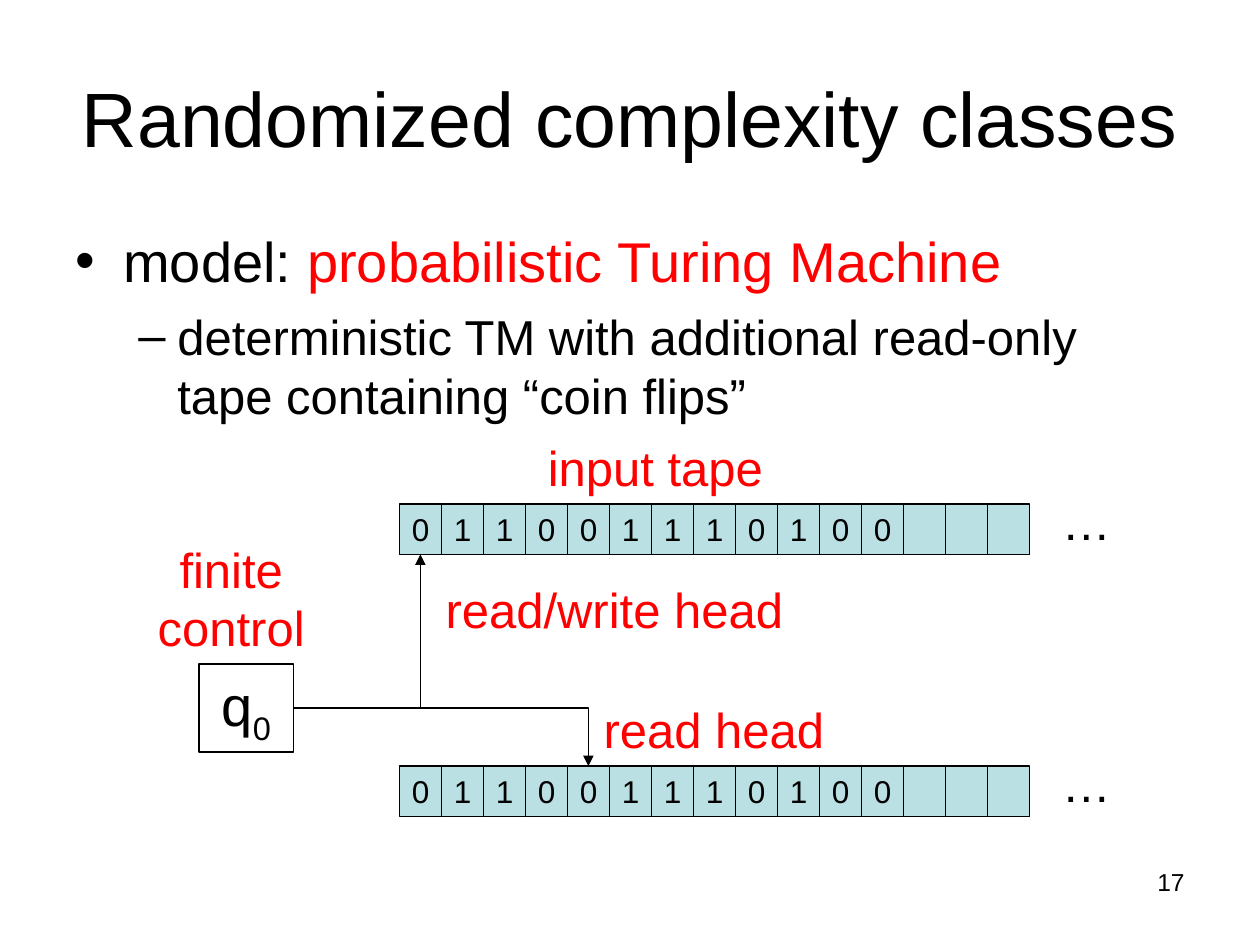
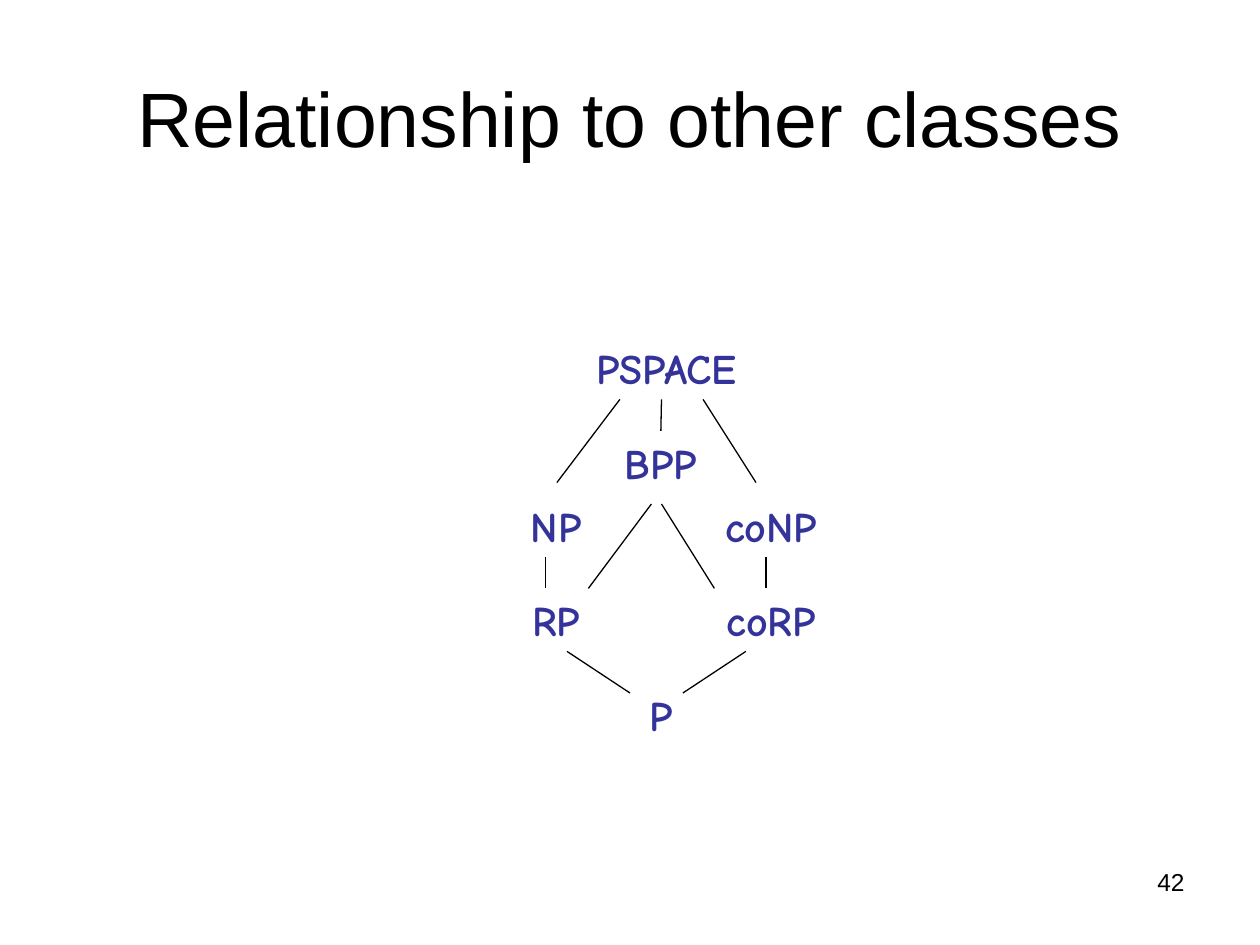
from pptx import Presentation
from pptx.dml.color import RGBColor
from pptx.enum.shapes import MSO_CONNECTOR, MSO_SHAPE
from pptx.enum.text import MSO_ANCHOR, PP_ALIGN
from pptx.oxml.ns import qn
from pptx.util import Inches, Pt
from lxml.etree import SubElement

BLACK, RED, NAVY, TEAL = "000000", "FF0000", "333399", "BBE0E3"
BODY = {"name": "Arial", "size": Pt(32)}
LABEL = {"name": "Arial", "size": Pt(28)}
CELL = {"name": "Arial", "size": Pt(18)}
TITLE = {"name": "Arial", "size": Pt(44)}
NUMBER = {"name": "Arial", "size": Pt(14)}
NODE = {"name": "Comic Neue", "size": Pt(24), "bold": True}
LEFT, CENTER, RIGHT = PP_ALIGN.LEFT, PP_ALIGN.CENTER, PP_ALIGN.RIGHT
CELL_W, CELL_H = 1 / 3, 0.4


def rgb(value):
    """Turn a hex string into a colour."""
    return RGBColor.from_string(value)


def add_run(p, text, fmt, color=BLACK):
    """Append a formatted run to a paragraph."""
    r = p.add_run()
    r.text = text
    for name, value in fmt.items():
        setattr(r.font, name, value)
    r.font.color.rgb = rgb(color)
    return r


def add_text(s, box, text, fmt, color=BLACK, align=LEFT, anchor=MSO_ANCHOR.TOP):
    """Add a wrapping text box holding one paragraph."""
    sp = s.shapes.add_textbox(*map(Inches, box))
    tf = sp.text_frame
    tf.word_wrap = True
    tf.vertical_anchor = anchor
    p = tf.paragraphs[0]
    p.alignment = align
    if text:
        add_run(p, text, fmt, color)
    return sp


def add_box(s, box, text, fmt, fill=None):
    """Add an outlined rectangle with centred text."""
    sp = s.shapes.add_shape(MSO_SHAPE.RECTANGLE, *map(Inches, box))
    sp.shadow.inherit = False
    if fill:
        sp.fill.solid()
        sp.fill.fore_color.rgb = rgb(fill)
    else:
        sp.fill.background()
    sp.line.color.rgb = rgb(BLACK)
    sp.line.width = Pt(0.75)
    sp.text_frame.vertical_anchor = MSO_ANCHOR.TOP
    p = sp.text_frame.paragraphs[0]
    p.alignment = CENTER
    if text:
        add_run(p, text, fmt)
    return sp


def add_line(s, ends, kind=MSO_CONNECTOR.STRAIGHT):
    """Add a thin black connector without a shadow."""
    c = s.shapes.add_connector(kind, *map(Inches, ends))
    c.line.color.rgb = rgb(BLACK)
    c.line.width = Pt(0.75)
    SubElement(c._element.spPr, qn("a:effectLst"))
    return c


def add_head(s, control, cell, side):
    """Join the control box to a tape cell with a one-bend arrow."""
    c = add_line(s, (0, 0, 1, 1), MSO_CONNECTOR.ELBOW)
    c.begin_connect(control, 3)
    c.end_connect(cell, side)
    c._element.spPr.find(qn("a:prstGeom")).set("prst", "bentConnector2")
    SubElement(c.line._get_or_add_ln(), qn("a:tailEnd"), type="triangle")


def add_bullet(tf, mark, level, margin, indent, before, runs, fmt):
    """Fill the next bulleted paragraph of a text frame."""
    p = tf.add_paragraph() if tf.text else tf.paragraphs[0]
    p.level = level
    if before:
        p.space_before = Pt(before)
    pPr = p._p.get_or_add_pPr()
    pPr.set("marL", str(Inches(margin)))
    pPr.set("indent", str(Inches(indent)))
    SubElement(pPr, qn("a:buFont"), typeface="Arial")
    SubElement(pPr, qn("a:buChar"), char=mark)
    for text, color in runs:
        add_run(p, text, fmt, color)


def new_slide(prs, title, number):
    """Add a blank slide with its title and page number."""
    s = prs.slides.add_slide(prs.slide_layouts[6])
    add_text(s, (7.17, 6.83, 2.33, 0.52), number, NUMBER, align=RIGHT)
    add_text(s, (0.5, 0.3, 9, 1.25), title, TITLE, align=CENTER, anchor=MSO_ANCHOR.MIDDLE)
    return s


def add_tape(s, left, top, symbols, blanks=3):
    """Draw a tape of cells trailed by an ellipsis and return the cells."""
    cells = [add_box(s, (left + i * CELL_W, top, CELL_W, CELL_H), symbol, CELL, TEAL)
             for i, symbol in enumerate([*symbols, *[""] * blanks])]
    add_text(s, (left + 5.16, top - 0.15, 0.75, 0.57), "…", LABEL)
    return cells


def add_machine(s, left, top):
    """Draw the control, both tapes and the heads."""
    input_tape, coin_tape = (add_tape(s, left + 2.25, top + dy, "011001110100")
                             for dy in (0.58, 2.66))
    control = add_box(s, (left + 0.66, top + 1.85, 0.75, 0.7), "q", BODY)
    r = add_run(control.text_frame.paragraphs[0], "0", BODY)
    r._r.get_or_add_rPr().set("baseline", "-25000")
    add_head(s, control, input_tape[0], 2)
    add_head(s, control, coin_tape[4], 0)
    labels = [
        ("input tape", 3.33, 0, 2.33, 0.57, LEFT),
        ("finite control", 0, 0.81, 1.83, 1.04, CENTER),
        ("read/write head", 2.33, 1.13, 3.25, 0.57, CENTER),
        ("read head", 3.66, 2.08, 2.17, 0.57, CENTER),
    ]
    for text, x, y, w, h, align in labels:
        add_text(s, (left + x, top + y, w, h), text, LABEL, RED, align)


def add_hierarchy(s, left, top):
    """Draw the complexity classes and the lines of inclusion."""
    nodes = {}
    for name, x, y, w in [
        ("P", 0.83, 2.75, 0.83), ("RP", 0, 2, 0.83), ("coRP", 1.58, 2, 1.08),
        ("NP", 0, 1.25, 0.83), ("coNP", 1.58, 1.25, 1.08),
        ("PSPACE", 0.5, 0, 1.58), ("BPP", 0.83, 0.75, 0.83),
    ]:
        nodes[name] = add_text(s, (left + x, top + y, w, 0.5), name, NODE, NAVY, CENTER)
    for x1, y1, x2, y2 in [
        (1, 2.83, 0.5, 2.5), (1.42, 2.83, 1.92, 2.5),
        (0.33, 2, 0.33, 1.75), (2.08, 2, 2.08, 1.75),
        (0.67, 2, 1.17, 1.33), (1.67, 2, 1.25, 1.33),
        (0.42, 1.16, 0.92, 0.5), (2, 1.16, 1.58, 0.5),
    ]:
        add_line(s, (left + x1, top + y1, left + x2, top + y2))
    stem = add_line(s, (left + 1.25, top + 0.75, left + 1.25, top + 0.5))
    stem.begin_connect(nodes["BPP"], 0)


def machine_slide(prs):
    """Build the probabilistic Turing machine slide."""
    s = new_slide(prs, "Randomized complexity classes", "17")
    tf = add_text(s, (0.5, 1.75, 9, 4.95), "", BODY).text_frame
    add_bullet(tf, "•", 0, 0.38, -0.38, 0,
               [("model: ", BLACK), ("probabilistic Turing Machine", RED)], BODY)
    add_bullet(tf, "–", 1, 0.81, -0.31, 7,
               [("deterministic TM with additional read-only tape "
                 "containing “coin flips”", BLACK)], LABEL)
    add_machine(s, 0.92, 3.42)


def classes_slide(prs):
    """Build the class inclusion slide."""
    s = new_slide(prs, "Relationship to other classes", "42")
    add_hierarchy(s, 4, 2.67)


def main():
    """Build and save the presentation."""
    prs = Presentation()
    prs.slide_width, prs.slide_height = Inches(10), Inches(7.5)
    machine_slide(prs)
    classes_slide(prs)
    prs.save("out.pptx")


if __name__ == "__main__":
    main()
